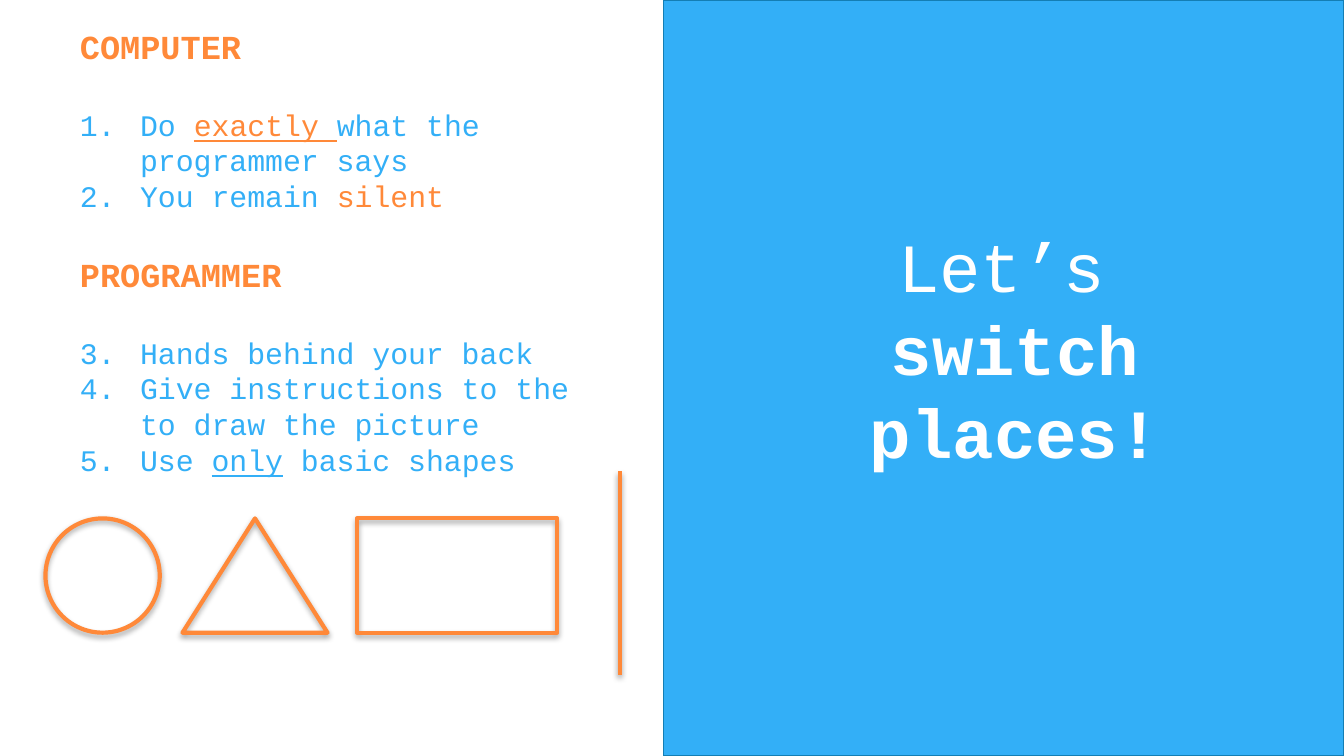
from pptx import Presentation
from pptx import util as u
from pptx.dml.color import RGBColor
from pptx.enum import shapes, text
from pptx.oxml import parse_xml
from pptx.oxml.ns import nsdecls, qn

Cm, Pt = u.Cm, u.Pt
COLORS = {"blue": "33AFF7", "edge": "147EB4", "orange": "FF8939", "white": "FFFFFF"}
FONT = "Courier New"
BLANK_LINE = Pt(21.5)
BODY = {"size": Pt(16), "color": "blue"}
HEADING = {"size": Pt(18), "color": "orange", "bold": True}
TITLE = {"size": Pt(37), "color": "white"}

# Each role: heading, number of its first rule, rules as (words, extra format) runs
ROLES = [
    ("COMPUTER", 1, [
        [("Do ", {}), ("exactly ", {"color": "orange", "underline": True}),
         ("what the programmer says", {})],
        [("You remain ", {}), ("silent", {"color": "orange"})],
    ]),
    ("PROGRAMMER", 3, [
        [("Hands behind your back", {})],
        [("Give instructions to the to draw the picture", {})],
        [("Use ", {}), ("only", {"underline": True}), (" basic shapes", {})],
    ]),
]


def rgb(name):
    return RGBColor.from_string(COLORS[name])


def add_run(paragraph, words, style):
    run = paragraph.add_run()
    run.text = words
    for key, value in {"name": FONT, **style}.items():
        if key == "color":
            run.font.color.rgb = rgb(value)
        else:
            setattr(run.font, key, value)


def set_indent(paragraph, left, first):
    props = paragraph._p.get_or_add_pPr()
    props.set("marL", str(Cm(left)))
    props.set("indent", str(Cm(first)))
    return props


def number_rule(paragraph, start):
    props = set_indent(paragraph, 1.14, -1.14)
    for xml in (
        f'<a:buClr {nsdecls("a")}><a:srgbClr val="{COLORS["blue"]}"/></a:buClr>',
        f'<a:buFont {nsdecls("a")} typeface="{FONT}"/>',
        f'<a:buAutoNum {nsdecls("a")} type="arabicPeriod" startAt="{start}"/>',
    ):
        props.append(parse_xml(xml))


def add_text_frame(slide, box, margin_y):
    frame = slide.shapes.add_textbox(*map(Cm, box)).text_frame
    settings = {"word_wrap": True, "vertical_anchor": text.MSO_ANCHOR.TOP,
                "margin_left": Cm(0.24), "margin_right": Cm(0.24),
                "margin_top": Cm(margin_y), "margin_bottom": Cm(margin_y)}
    for key, value in settings.items():
        setattr(frame, key, value)
    return frame


def outline_in_orange(shape, alpha, distance):
    shape.line.color.rgb = rgb("orange")
    shape.line.width = Pt(2.25)
    props = shape._element.spPr
    for old in props.findall(qn("a:effectLst")):
        props.remove(old)
    props.append(parse_xml(
        f'<a:effectLst {nsdecls("a")}><a:outerShdw blurRad="{Pt(3.1)}" '
        f'dist="{Pt(distance)}" dir="5400000" rotWithShape="0">'
        f'<a:srgbClr val="000000"><a:alpha val="{alpha * 1000}"/></a:srgbClr>'
        '</a:outerShdw></a:effectLst>'))


def add_rules(slide, box):
    frame = add_text_frame(slide, box, 0.11)
    for index, (role, start, rules) in enumerate(ROLES):
        heading = frame.add_paragraph() if index else frame.paragraphs[0]
        if index:
            heading.space_before = BLANK_LINE
        heading.space_after = BLANK_LINE
        add_run(heading, role, HEADING)
        for rule in rules:
            paragraph = frame.add_paragraph()
            number_rule(paragraph, start)
            for words, extra in rule:
                add_run(paragraph, words, {**BODY, **extra})


def add_basic_shapes(slide, box):
    left, top, width, height = box
    kinds = shapes.MSO_SHAPE
    for kind, offset, shape_width in ((kinds.OVAL, 0, height),
                                      (kinds.ISOSCELES_TRIANGLE, 2.59, 2.74),
                                      (kinds.RECTANGLE, 5.89, 3.78)):
        shape = slide.shapes.add_shape(
            kind, Cm(left + offset), Cm(top), Cm(shape_width), Cm(height))
        shape.fill.background()
        outline_in_orange(shape, 35, 1.8)
    # Upright line at the right end of the row
    x = Cm(left + width)
    line = slide.shapes.add_connector(
        shapes.MSO_CONNECTOR.STRAIGHT, x, Cm(top + 2.95), x, Cm(top - 0.89))
    outline_in_orange(line, 38, 1.6)


def add_title_panel(slide, box):
    left, top, width, height = box
    panel = slide.shapes.add_shape(shapes.MSO_SHAPE.RECTANGLE, *map(Cm, box))
    panel.shadow.inherit = False
    panel.fill.solid()
    panel.fill.fore_color.rgb = rgb("blue")
    panel.line.color.rgb = rgb("edge")
    panel.line.width = Pt(0.75)
    # Call to swap roles
    frame = add_text_frame(slide, (left + 1.72, top + 3.99, 9, 10.3), 0.24)
    call = frame.paragraphs[0]
    call.alignment = text.PP_ALIGN.CENTER
    set_indent(call, 0.84, -0.5)
    add_run(call, "Let’s ", TITLE)
    add_run(call, "switch places!", {**TITLE, "bold": True})


def main():
    deck = Presentation()
    deck.slide_width, deck.slide_height = Cm(25.4), Cm(14.29)
    slide = deck.slides.add_slide(deck.slide_layouts[6])
    add_title_panel(slide, (12.54, 0, 12.86, 14.29))
    add_rules(slide, (1.27, 0.38, 10.11, 8.1))
    add_basic_shapes(slide, (0.86, 9.8, 10.85, 2.16))
    deck.save("out.pptx")


if __name__ == "__main__":
    main()
